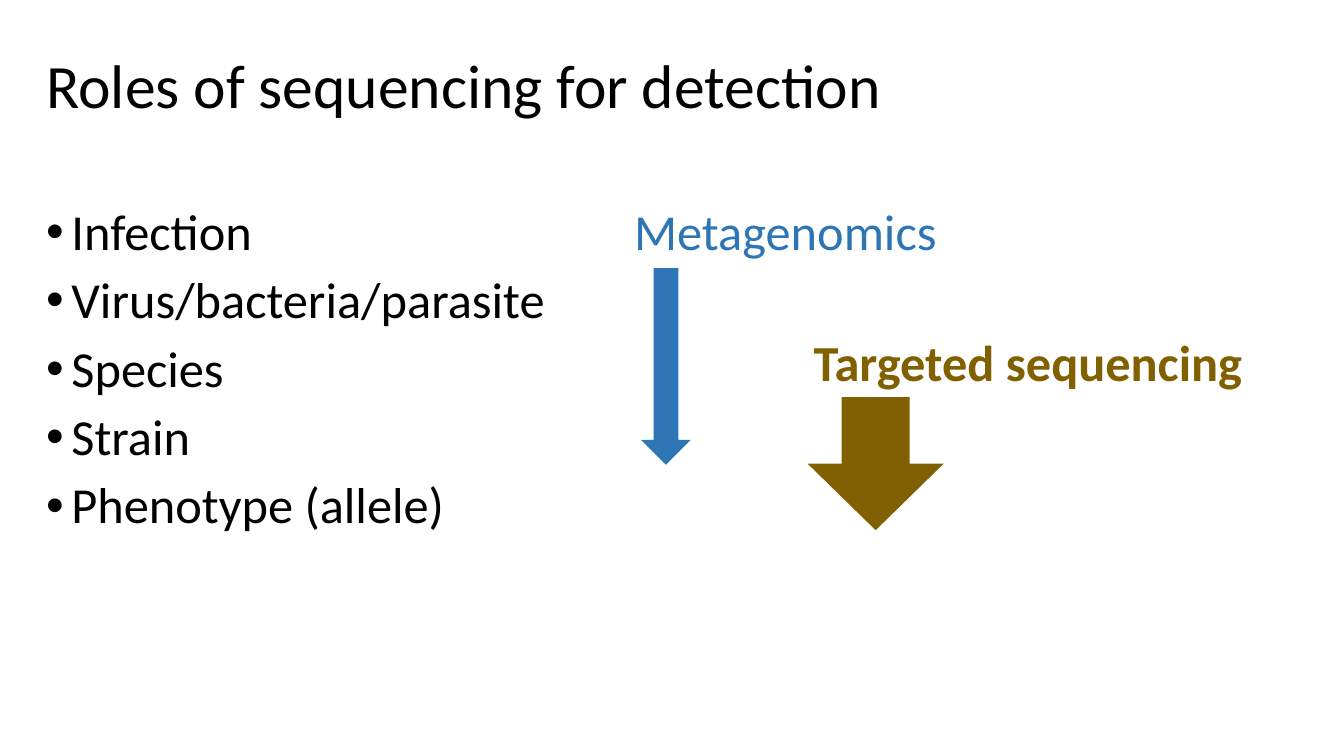
import pptx
import pptx.dml.color
import pptx.enum.shapes
import pptx.enum.text
import pptx.oxml
import pptx.oxml.ns
import pptx.util

SLIDE_WIDTH = pptx.util.Inches(13.33)
SLIDE_HEIGHT = pptx.util.Inches(7.5)
FONT = "Calibri"
BLACK, BLUE, BROWN = "000000", "2E75B6", "806000"

# Shares of the slide, in percent
MARGIN = 2.7
LIST_TOP = 26.67
COLUMN_WIDTH = 44.86
LABEL_HEIGHT = 8.8

LEVELS = ["Infection", "Virus/bacteria/parasite", "Species", "Strain",
          "Phenotype (allele)"]

# Label, colour, bold, label (left, top, width), arrow (left, top, width, height)
METHODS = [
    ("Metagenomics", BLUE, False,
     (46.44, LIST_TOP, COLUMN_WIDTH), (47.71, 35.47, 3.68, 26)),
    ("Targeted sequencing", BROWN, True,
     (59.79, 44, 40), (60.09, 52.53, 10.13, 17.6)),
]


def color(value):
    return pptx.dml.color.RGBColor.from_string(value)


def area(left, top, width, height):
    """Turn percentages of the slide into lengths."""
    return (int(SLIDE_WIDTH * left / 100), int(SLIDE_HEIGHT * top / 100),
            int(SLIDE_WIDTH * width / 100), int(SLIDE_HEIGHT * height / 100))


def style(para, size, ink, bold=False):
    para.line_spacing = 0.9
    para.alignment = pptx.enum.text.PP_ALIGN.LEFT
    para.font.name = FONT
    para.font.size = pptx.util.Pt(size)
    para.font.bold = bold
    para.font.color.rgb = color(ink)


def add_bullet(para):
    properties = para._p.get_or_add_pPr()
    indent = pptx.util.Inches(0.25)
    properties.set("marL", str(indent))
    properties.set("indent", str(-indent))
    namespace = pptx.oxml.ns.nsdecls("a")
    for markup in (f'<a:buFont {namespace} typeface="Arial"/>',
                   f'<a:buChar {namespace} char="•"/>'):
        element = pptx.oxml.parse_xml(markup)
        properties.insert_element_before(
            element, "a:tabLst", "a:defRPr", "a:extLst")


def set_title(page, text):
    title = page.shapes.title
    title.left, title.top, title.width, title.height = area(
        MARGIN, 5.33, 94.67, 12.8)
    frame = title.text_frame
    frame.text = text
    frame.auto_size = pptx.enum.text.MSO_AUTO_SIZE.NONE
    frame.vertical_anchor = pptx.enum.text.MSO_ANCHOR.MIDDLE
    style(frame.paragraphs[0], 44, BLACK)


def add_text(page, place, lines, ink, bold=False, bulleted=False):
    box = page.shapes.add_textbox(*area(*place))
    frame = box.text_frame
    frame.word_wrap = True
    frame.text = "\n".join(lines)
    for para in frame.paragraphs:
        style(para, 36, ink, bold)
        if bulleted:
            para.space_before = pptx.util.Pt(10)
            add_bullet(para)


def add_down_arrow(page, place, fill):
    arrow = page.shapes.add_shape(
        pptx.enum.shapes.MSO_SHAPE.DOWN_ARROW, *area(*place))
    arrow.shadow.inherit = False
    arrow.fill.solid()
    arrow.fill.fore_color.rgb = color(fill)
    arrow.line.fill.background()


def main():
    deck = pptx.Presentation()
    deck.slide_width, deck.slide_height = SLIDE_WIDTH, SLIDE_HEIGHT
    page = deck.slides.add_slide(deck.slide_layouts.get_by_name("Title Only"))

    # Title and list of detection levels
    set_title(page, "Roles of sequencing for detection")
    add_text(page, (MARGIN, LIST_TOP, COLUMN_WIDTH, 60.53), LEVELS, BLACK,
             bulleted=True)

    # Methods, each with an arrow spanning the levels it covers
    for label, ink, bold, label_place, arrow_place in METHODS:
        add_text(page, (*label_place, LABEL_HEIGHT), [label], ink, bold)
        add_down_arrow(page, arrow_place, ink)

    deck.save("out.pptx")


if __name__ == "__main__":
    main()
